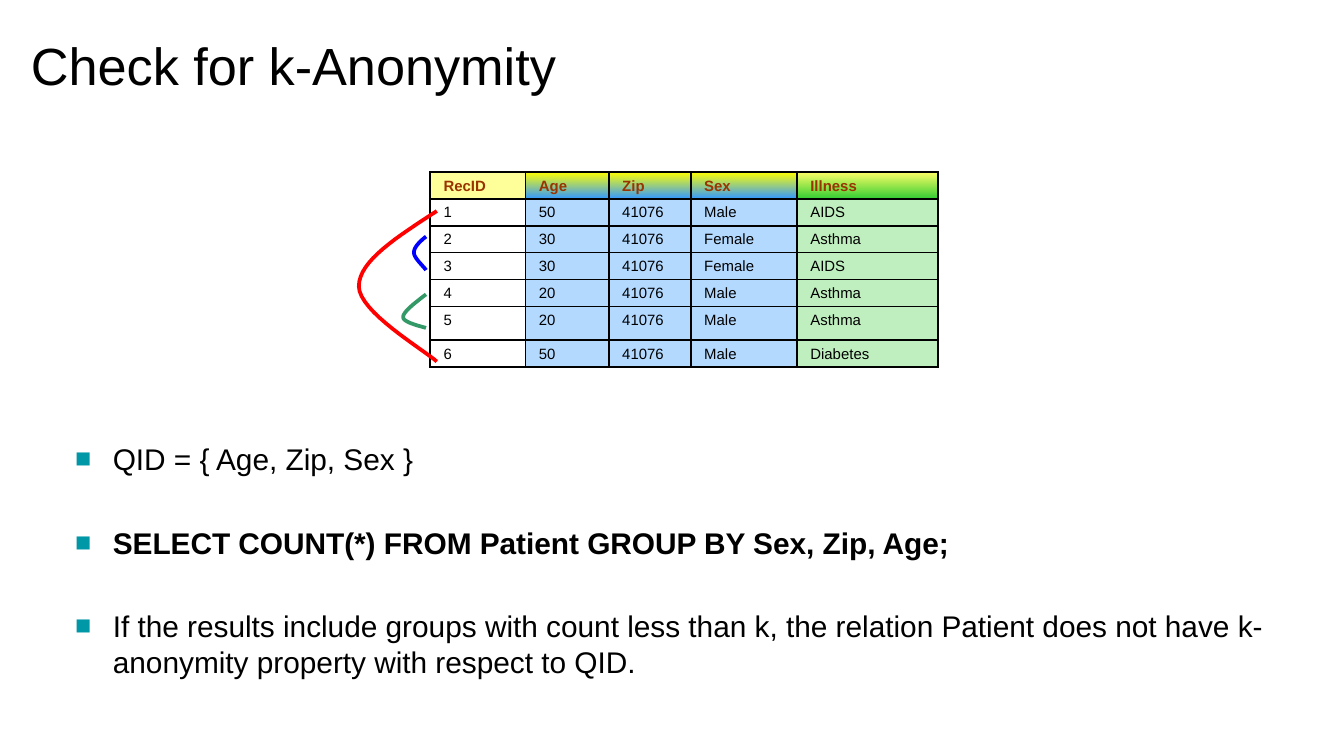
"""Build the k-anonymity check slide with a patient table and grouped records."""
from lxml import etree
from pptx import Presentation
from pptx.dml.color import RGBColor
from pptx.enum.text import MSO_ANCHOR as ANCHOR, MSO_AUTO_SIZE as AUTO, PP_ALIGN as ALIGN
from pptx.oxml.ns import qn
from pptx.util import Inches, Pt


def rgb(value):
    return RGBColor.from_string(value)


def add_run(p, text, size, color="000000", bold=False):
    r = p.add_run()
    r.text = text
    r.font.name = "Arial"
    r.font.size = Pt(size)
    r.font.bold = bold
    r.font.color.rgb = rgb(color)


prs = Presentation()
prs.slide_width, prs.slide_height = Inches(10), Inches(10 * 9 / 16)
s = prs.slides.add_slide(prs.slide_layouts[1])
title, body = s.placeholders

title.left, title.top, title.width, title.height = [Inches(v) for v in (0.13, 0.15, 6.1, 0.62)]
tf = title.text_frame
tf.auto_size = AUTO.NONE
tf.vertical_anchor = ANCHOR.TOP
tf.margin_left = tf.margin_right = tf.margin_top = tf.margin_bottom = Inches(0.1)
p = tf.paragraphs[0]
p.alignment = ALIGN.LEFT
add_run(p, "Check for k-Anonymity", 28)

rows = [
    ("RecID", "Age", "Zip", "Sex", "Illness"),
    ("1", "50", "41076", "Male", "AIDS"),
    ("2", "30", "41076", "Female", "Asthma"),
    ("3", "30", "41076", "Female", "AIDS"),
    ("4", "20", "41076", "Male", "Asthma"),
    ("5", "20", "41076", "Male", "Asthma"),
    ("6", "50", "41076", "Male", "Diabetes"),
]
col_widths = [0.71, 0.62, 0.61, 0.79, 1.05]
row_heights = [0.2, 0.2, 0.2, 0.2, 0.2, 0.25, 0.2]
qid_gradient = ("FFFF00", "3399FF")
header_fills = [("FFFF99",), qid_gradient, qid_gradient, qid_gradient, ("FFFF66", "33CC33")]
record_fills = [(), ("B3D9FF",), ("B3D9FF",), ("B3D9FF",), ("BFEFBF",)]

table = s.shapes.add_table(7, 5, Inches(3.2), Inches(1.28), Inches(3.78), Inches(1.45)).table
table.first_row = table.horz_banding = False
for col, width in zip(table.columns, col_widths):
    col.width = Inches(width)
for row, height in zip(table.rows, row_heights):
    row.height = Inches(height)

for i, values in enumerate(rows):
    for j, value in enumerate(values):
        cell = table.cell(i, j)
        cell.margin_left = cell.margin_right = Inches(0.1)
        cell.margin_top, cell.margin_bottom = Inches(0.04), Inches(0.03)
        tcPr = cell._tc.get_or_add_tcPr()
        for side in ("a:lnL", "a:lnR", "a:lnT", "a:lnB"):
            ln = etree.SubElement(tcPr, qn(side), w=str(Pt(1)))
            solid = etree.SubElement(ln, qn("a:solidFill"))
            etree.SubElement(solid, qn("a:srgbClr"), val="000000")
        colors = record_fills[j] if i else header_fills[j]
        if len(colors) == 2:
            cell.fill.gradient()
            cell.fill.gradient_angle = 270
            for stop, color in zip(cell.fill.gradient_stops, colors):
                stop.color.rgb = rgb(color)
        elif colors:
            cell.fill.solid()
            cell.fill.fore_color.rgb = rgb(colors[0])
        else:
            cell.fill.background()
        p = cell.text_frame.paragraphs[0]
        p.alignment = ALIGN.JUSTIFY
        add_run(p, value, 8, "000000" if i else "993300", i == 0)

body.left, body.top, body.width, body.height = [Inches(v) for v in (0.46, 3.23, 9.27, 2.18)]
tf = body.text_frame
tf.auto_size = AUTO.NONE
points = [
    ("QID = { Age, Zip, Sex }", False),
    ("SELECT COUNT(*) FROM Patient GROUP BY Sex, Zip, Age;", True),
    ("If the results include groups with count less than k, the relation Patient "
     "does not have k-anonymity property with respect to QID.", False),
]
for i, (text, bold) in enumerate(points):
    p = tf.add_paragraph() if i else tf.paragraphs[0]
    pPr = p._p.get_or_add_pPr()
    pPr.set("marL", str(Inches(0.28)))
    pPr.set("indent", str(-Inches(0.28)))
    bullet_color = etree.SubElement(pPr, qn("a:buClr"))
    etree.SubElement(bullet_color, qn("a:srgbClr"), val="0097A7")
    etree.SubElement(pPr, qn("a:buSzPct"), val="90000")
    etree.SubElement(pPr, qn("a:buFont"), typeface="Arial")
    etree.SubElement(pPr, qn("a:buChar"), char="■")
    p.space_before = Pt(25.5 if i else 0)
    add_run(p, text, 16, bold=bold)

group_curves = [
    ("FF0000", [(3.25, 1.57), (2.96, 1.76), (2.67, 1.94), (2.67, 2.13),
                (2.67, 2.32), (3.15, 2.6), (3.25, 2.69)]),
    ("0000FF", [(3.17, 1.76), (3.12, 1.8), (3.08, 1.84), (3.08, 1.88),
                (3.08, 1.92), (3.15, 1.98), (3.17, 2.01)]),
    ("339966", [(3.17, 2.19), (3.08, 2.26), (3, 2.32), (3, 2.36),
                (3, 2.4), (3.14, 2.43), (3.17, 2.44)]),
]
steps = 16
for color, knots in group_curves:
    vertices = []
    for start in (0, 3):
        for k in range(1, steps + 1):
            t = k / steps
            weights = ((1 - t) ** 3, 3 * t * (1 - t) ** 2, 3 * t * t * (1 - t), t ** 3)
            vertices.append([Inches(sum(w * knot[axis] for w, knot in zip(weights, knots[start:start + 4])))
                             for axis in (0, 1)])
    builder = s.shapes.build_freeform(Inches(knots[0][0]), Inches(knots[0][1]))
    builder.add_line_segments(vertices, close=False)
    sp = builder.convert_to_shape()
    sp.shadow.inherit = False
    sp.fill.background()
    sp.line.color.rgb = rgb(color)
    sp.line.width = Pt(2)

prs.save("out.pptx")
